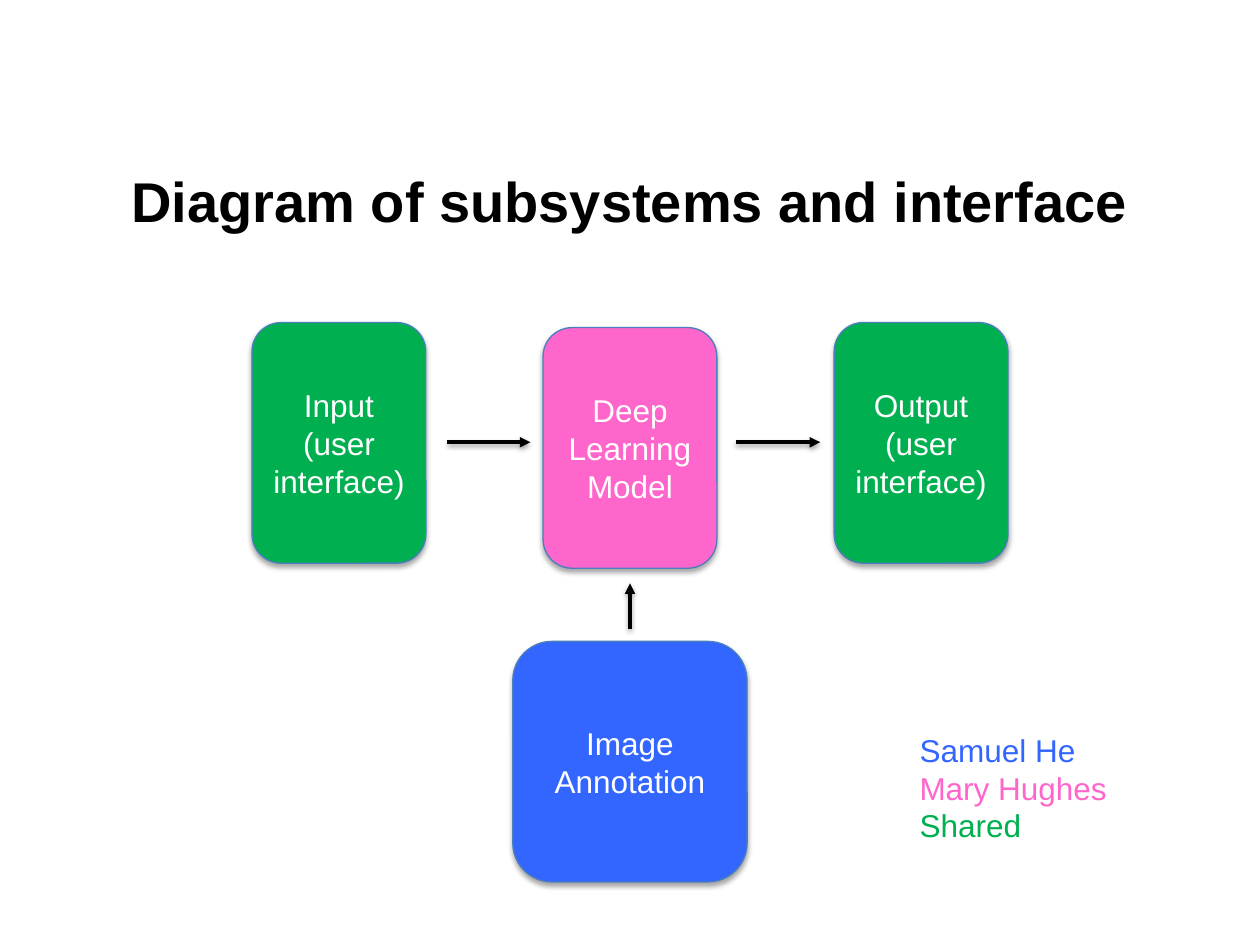
"""Build the slide with the diagram of subsystems and their interface."""
import pptx
import pptx.dml.color
import pptx.enum.shapes
import pptx.enum.text
import pptx.oxml
import pptx.oxml.ns
import pptx.util
from pptx.util import Inches

BLUE, PINK, GREEN = "3366FF", "FF66CC", "00B050"
ALIGN = pptx.enum.text.PP_ALIGN
MIDDLE = pptx.enum.text.MSO_ANCHOR.MIDDLE


def style(para, size, color, bold=False):
    for run in para.runs:
        run.font.name = "Arial"
        run.font.size = pptx.util.Pt(size)
        run.font.bold = bold
        run.font.color.rgb = pptx.dml.color.RGBColor.from_string(color)


def finish(item, color, width, alpha, dist):
    item.line.color.rgb = pptx.dml.color.RGBColor.from_string(color)
    item.line.width = pptx.util.Pt(width)
    item._element.spPr.append(pptx.oxml.parse_xml(
        f'<a:effectLst {pptx.oxml.ns.nsdecls("a")}>'
        f'<a:outerShdw blurRad="{pptx.util.Pt(3.1)}" dist="{pptx.util.Pt(dist)}" '
        'dir="5400000" rotWithShape="0"><a:srgbClr val="000000">'
        f'<a:alpha val="{alpha * 1000}"/></a:srgbClr></a:outerShdw></a:effectLst>'))


deck = pptx.Presentation()
deck.slide_width, deck.slide_height = Inches(10), Inches(7.5)
slide = deck.slides.add_slide(deck.slide_layouts[5])

title = slide.shapes.title
title.left, title.top = Inches(0.5), Inches(1.15)
title.width, title.height = Inches(9), Inches(0.88)
title.text_frame.text = "Diagram of subsystems and interface"
title.text_frame.vertical_anchor = MIDDLE
title.text_frame.paragraphs[0].alignment = ALIGN.CENTER
style(title.text_frame.paragraphs[0], 32, "000000", True)

boxes = [
    ("Input (user interface)", 2, 2.56, 1.38, GREEN),
    ("Deep Learning Model", 4.31, 2.6, 1.38, PINK),
    ("Output (user interface)", 6.62, 2.56, 1.38, GREEN),
    ("Image Annotation", 4.07, 5.09, 1.86, BLUE),
]
for text, left, top, width, color in boxes:
    box = slide.shapes.add_shape(
        pptx.enum.shapes.MSO_SHAPE.ROUNDED_RECTANGLE,
        Inches(left), Inches(top), Inches(width), Inches(1.91))
    box.fill.solid()
    box.fill.fore_color.rgb = pptx.dml.color.RGBColor.from_string(color)
    finish(box, "4B7EBC", 0.75, 35, 1.8)
    frame = box.text_frame
    frame.text = text
    frame.word_wrap = True
    frame.vertical_anchor = MIDDLE
    frame.paragraphs[0].alignment = ALIGN.CENTER
    style(frame.paragraphs[0], 18, "FFFFFF")

arrows = [(3.55, 3.51, 4.21, 3.51), (5.84, 3.51, 6.51, 3.51), (5, 4.99, 5, 4.63)]
for ends in arrows:
    arrow = slide.shapes.add_connector(
        pptx.enum.shapes.MSO_CONNECTOR.STRAIGHT, *map(Inches, ends))
    finish(arrow, "000000", 2, 38, 1.6)
    arrow.line._get_or_add_ln().append(pptx.oxml.parse_xml(
        f'<a:tailEnd {pptx.oxml.ns.nsdecls("a")} type="triangle"/>'))

key = slide.shapes.add_textbox(Inches(7.2), Inches(5.75), Inches(2.3), Inches(1.01))
key.text_frame.word_wrap = True
key.text_frame.auto_size = pptx.enum.text.MSO_AUTO_SIZE.SHAPE_TO_FIT_TEXT
owners = [("Samuel He", BLUE), ("Mary Hughes", PINK), ("Shared", GREEN)]
key.text_frame.text = "\n".join(name for name, color in owners)
for para, (name, color) in zip(key.text_frame.paragraphs, owners):
    style(para, 18, color)

deck.save("out.pptx")
